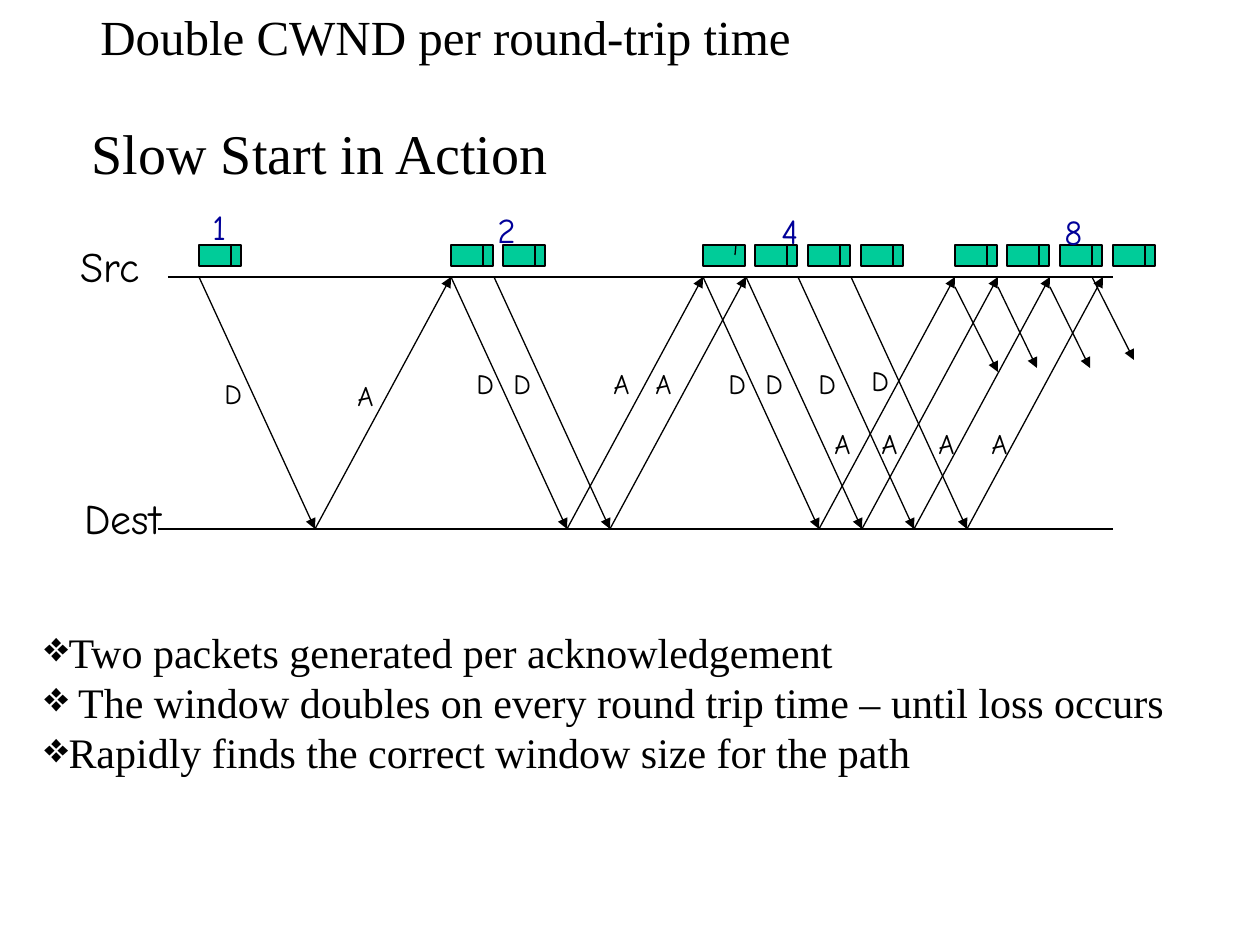
from dataclasses import dataclass

from pptx import Presentation
from pptx.dml.color import RGBColor
from pptx.enum.shapes import MSO_CONNECTOR, MSO_SHAPE
from pptx.enum.text import MSO_ANCHOR, MSO_AUTO_SIZE, PP_ALIGN
from pptx.oxml.ns import qn
from pptx.util import Emu, Pt
from lxml.etree import SubElement

PX_PER_INCH = 126
COLORS = {"ink": "000000", "packet": "00CC99", "window": "000099"}
SERIF, HAND = "Times New Roman", "Comic Neue"

# Timeline geometry
SRC_Y, DEST_Y = 277, 529
FIRST_ROUND_X, ROUND_TRIP = 199, 252
TRAVEL = 116
PACKET_Y, PACKET_W, PACKET_H = 245, 42, 21
PACKET_PITCH, HEADER_X = 52.5, 32


@dataclass(frozen=True)
class Caption:
    text: str
    left: int
    top: int
    width: int
    height: int
    size: int
    font: str = HAND
    color: str = "ink"
    wrap: bool = False
    centered: bool = False


@dataclass(frozen=True)
class Arrow:
    x1: int
    y1: int
    x2: int
    y2: int


def px(length: float) -> Emu:
    return Emu(round(length * 914400 / PX_PER_INCH))


def rgb(name: str) -> RGBColor:
    return RGBColor.from_string(COLORS[name])


def add_text(slide, caption: Caption, bullet: str = ""):
    box = slide.shapes.add_textbox(px(caption.left), px(caption.top),
                                   px(caption.width), px(caption.height))
    frame = box.text_frame
    frame.word_wrap = caption.wrap
    frame.auto_size = MSO_AUTO_SIZE.SHAPE_TO_FIT_TEXT
    for index, line in enumerate(caption.text.split("\n")):
        paragraph = frame.add_paragraph() if index else frame.paragraphs[0]
        paragraph.alignment = PP_ALIGN.CENTER if caption.centered else PP_ALIGN.LEFT
        run = paragraph.add_run()
        run.text = line
        run.font.size = Pt(caption.size)
        run.font.name = caption.font
        run.font.color.rgb = rgb(caption.color)
        if bullet:
            properties = paragraph._p.get_or_add_pPr()
            properties.set("marL", "0")
            properties.set("indent", "0")
            bullet_color = SubElement(properties, qn("a:buClr"))
            SubElement(bullet_color, qn("a:srgbClr")).set("val", COLORS["ink"])
            SubElement(properties, qn("a:buChar")).set("char", bullet)
    return frame


def add_line(slide, x1: int, y1: int, x2: int, y2: int, arrow: bool = False) -> None:
    line = slide.shapes.add_connector(MSO_CONNECTOR.STRAIGHT,
                                      px(x1), px(y1), px(x2), px(y2))
    line.line.color.rgb = rgb("ink")
    line.line.width = Pt(0.75)
    if arrow:
        SubElement(line.line._get_or_add_ln(), qn("a:tailEnd")).set("type", "triangle")
    SubElement(line._element.spPr, qn("a:effectLst"))


def add_packet(slide, left: int, header_height: int = PACKET_H) -> None:
    packet = slide.shapes.add_shape(MSO_SHAPE.RECTANGLE, px(left), px(PACKET_Y),
                                    px(PACKET_W), px(PACKET_H))
    packet.shadow.inherit = False
    packet.fill.solid()
    packet.fill.fore_color.rgb = rgb("packet")
    packet.line.color.rgb = rgb("ink")
    packet.line.width = Pt(0.75)
    slant = 0 if header_height == PACKET_H else 1
    add_line(slide, left + HEADER_X + slant, PACKET_Y,
             left + HEADER_X, PACKET_Y + header_height)


HEADINGS = [
    Caption("Slow Start in Action", 63, 117, 514, 71, 32, SERIF, wrap=True, centered=True),
    Caption("Double CWND per round-trip time", 0, 0, 891, 72, 28, SERIF,
            wrap=True, centered=True),
]
HOSTS = [Caption("Src", 68, 234, 84, 63, 24), Caption("Dest", 72, 486, 102, 63, 24)]
WINDOWS = [
    Caption(size, left, top, 42, 55, 20, color="window")
    for size, left, top in (("1", 200, 199), ("2", 485, 202),
                            ("4", 769, 203), ("8", 1052, 204))
]
# Left edges of the D (data) and A (acknowledgement) letters, row by row
LETTER_ROWS = [
    ("D", 370, (212,)), ("A", 372, (345,)),
    ("D", 360, (464, 501, 716, 753, 806)), ("D", 357, (859,)),
    ("A", 360, (601, 643)), ("A", 420, (822, 869, 926, 979)),
]
PACKETS_PER_ROUND = (1, 2, 4, 4)
SHORT_HEADER = (2, 0)
SEND_TIMES = (199, 451, 494, 703, 746, 798, 851)
NEXT_DATA = [
    Arrow(955, 287, 998, 372), Arrow(998, 287, 1037, 368),
    Arrow(1050, 287, 1090, 368), Arrow(1092, 277, 1134, 360),
]
TAKEAWAYS = Caption(
    "Two packets generated per acknowledgement\n"
    " The window doubles on every round trip time – until loss occurs\n"
    "Rapidly finds the correct window size for the path",
    32, 620, 1176, 164, 24, SERIF, wrap=True)


def main() -> None:
    presentation = Presentation()
    presentation.slide_width = px(10 * PX_PER_INCH)
    presentation.slide_height = px(7.5 * PX_PER_INCH)
    slide = presentation.slides.add_slide(presentation.slide_layouts[6])

    # Headings
    for heading in HEADINGS:
        frame = add_text(slide, heading)
        frame.vertical_anchor = MSO_ANCHOR.MIDDLE

    # Host timelines
    add_line(slide, 168, SRC_Y, 1113, SRC_Y)
    add_line(slide, 158, DEST_Y, 1113, DEST_Y)

    # Data going down and acknowledgements coming back
    for sent in SEND_TIMES:
        received = sent + TRAVEL
        add_line(slide, sent, SRC_Y, received, DEST_Y, arrow=True)
        add_line(slide, received, DEST_Y, sent + ROUND_TRIP, SRC_Y, arrow=True)
    for data in NEXT_DATA:
        add_line(slide, data.x1, data.y1, data.x2, data.y2, arrow=True)

    # Packets sent in each round
    for trip, count in enumerate(PACKETS_PER_ROUND):
        for index in range(count):
            left = FIRST_ROUND_X + trip * ROUND_TRIP + round(index * PACKET_PITCH)
            add_packet(slide, left, 10 if (trip, index) == SHORT_HEADER else PACKET_H)

    # Host names, window sizes and arrow letters
    for caption in HOSTS + WINDOWS:
        add_text(slide, caption)
    for letter, top, lefts in LETTER_ROWS:
        for left in lefts:
            add_text(slide, Caption(letter, left, top, 42, 47, 16))

    # Takeaways
    add_text(slide, TAKEAWAYS, bullet="❖")

    presentation.save("out.pptx")


if __name__ == "__main__":
    main()
